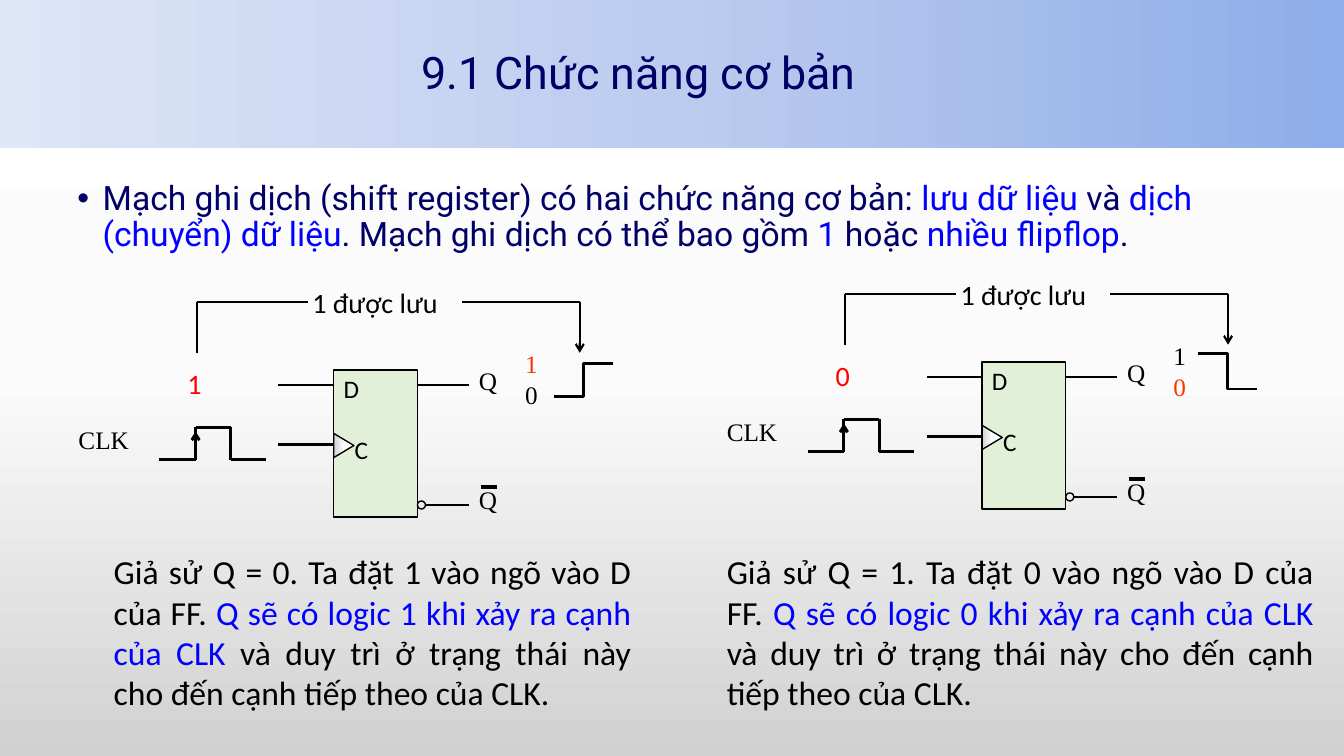
"""Build the slide on the basic functions of a shift register."""
from copy import deepcopy
from dataclasses import dataclass

from lxml.etree import SubElement
from pptx import Presentation
from pptx.dml.color import RGBColor
from pptx.enum.shapes import MSO_CONNECTOR as Connector, MSO_SHAPE as Shape
from pptx.enum.text import MSO_ANCHOR as Anchor, PP_ALIGN as Align
from pptx.oxml.ns import qn
from pptx.util import Inches, Pt


@dataclass(frozen=True)
class Theme:
    navy: str = "000066"
    blue: str = "0000FF"
    black: str = "000000"
    red: str = "FF0000"
    orange: str = "FF3300"
    green: str = "E2F0D9"
    band: tuple = ("DEE6F7", "BCCCEF", "8FADE9")
    grey: tuple = ("FFFFFF", "FBFBFB", "D1D1D1")
    heading: str = "Roboto"
    text: str = "Calibri"
    signal: str = "Times New Roman"
    title_size: int = 32
    body_size: int = 24
    label_size: int = 20
    signal_size: int = 18


theme = Theme()


def write_text(shape, paragraphs, face, size, anchor=Anchor.TOP, **paragraph_format):
    """Fill a shape with paragraphs, each a list of (text, colour) runs."""
    frame = shape.text_frame
    frame.word_wrap = True
    frame.vertical_anchor = anchor
    for index, runs in enumerate(paragraphs):
        paragraph = frame.add_paragraph() if index else frame.paragraphs[0]
        for name, value in {"alignment": Align.LEFT, **paragraph_format}.items():
            setattr(paragraph, name, value)
        for text, colour in runs:
            run = paragraph.add_run()
            run.text = text
            for name, value in {"name": face, "size": Pt(size)}.items():
                setattr(run.font, name, value)
            run.font.color.rgb = RGBColor.from_string(colour)


def add_line(ends, width, arrow=False, kind=Connector.STRAIGHT):
    """Draw a black connector between two points given in inches."""
    connector = slide.shapes.add_connector(kind, *map(Inches, ends))
    connector.line.width = Pt(width)
    connector.line.color.rgb = RGBColor.from_string(theme.black)
    if arrow:
        SubElement(connector.element.xpath(".//a:ln")[0], qn("a:tailEnd"), type="arrow")
    SubElement(connector.element.spPr, qn("a:effectLst"))


presentation = Presentation()
presentation.slide_width = Inches(13.33)
presentation.slide_height = Inches(7.5)
slide = presentation.slides.add_slide(presentation.slide_layouts[5])
shapes = slide.shapes
gradients = [(slide.background.fill, slide.element, theme.grey, 270)]

title = shapes.title
for name, value in {"left": 4.08, "top": 0.02, "width": 8.92, "height": 1.45}.items():
    setattr(title, name, Inches(value))
write_text(title, [[("9.1 Chức năng cơ bản", theme.navy)]], theme.heading,
           theme.title_size, Anchor.MIDDLE, line_spacing=0.9)

band = shapes.add_shape(Shape.RECTANGLE, 0, 0, presentation.slide_width, Inches(1.47))
band.shadow.inherit = False
band.line.fill.background()
title.element.addprevious(band.element)
gradients.append((band.fill, band.element, theme.band, 0))

body = shapes.add_textbox(*map(Inches, (0.67, 1.75, 12, 2.25)))
bullet_properties = body.text_frame.paragraphs[0]._p.get_or_add_pPr()
bullet_properties.set("marL", str(Inches(0.25)))
bullet_properties.set("indent", str(Inches(-0.25)))
SubElement(bullet_properties, qn("a:buClr")).append(
    bullet_properties.makeelement(qn("a:srgbClr"), {"val": theme.navy}))
SubElement(bullet_properties, qn("a:buFont"), typeface="Arial")
SubElement(bullet_properties, qn("a:buChar"), char="•")
write_text(body, [[
    ("Mạch ghi dịch (shift register) có hai chức năng cơ bản: ", theme.navy),
    ("lưu dữ liệu ", theme.blue), ("và ", theme.navy),
    ("dịch (chuyển) dữ liệu", theme.blue),
    (". Mạch ghi dịch có thể bao gồm ", theme.navy), ("1 ", theme.blue),
    ("hoặc ", theme.navy), ("nhiều flipflop", theme.blue), (".", theme.navy),
]], theme.heading, theme.body_size, line_spacing=0.9)

circuits = [
    {"x": 0, "y": 0, "input": "1", "before": "0",
     "levels": (theme.orange, theme.black),
     "step": (5.49, 3.93, 6.08, 3.61), "note": (1.03, 5.42, 5.33, 1.72)},
    {"x": 6.43, "y": -0.08, "input": "0", "before": "1",
     "levels": (theme.black, theme.orange),
     "step": (11.88, 3.51, 12.47, 3.86), "note": (7.11, 5.42, 6.02, 1.72)},
]
wires = [
    ((3.31, 4.41, 2.76, 4.41), 2), ((3.31, 3.82, 2.76, 3.82), 2),
    ((4.65, 5.01, 4.22, 5.01), 2), ((4.65, 3.82, 4.14, 3.82), 2),
    ((4.77, 4.83, 4.93, 4.83), 2.5),
    ((1.58, 4.56, 1.94, 4.56), 2), ((1.94, 4.56, 1.94, 4.24), 2),
    ((1.94, 4.24, 2.29, 4.24), 2), ((2.29, 4.24, 2.29, 4.56), 2),
    ((2.29, 4.56, 2.64, 4.56), 2), ((1.94, 4.52, 1.94, 4.28), 2, True),
    ((1.95, 3.5, 1.95, 3), 1.5), ((1.95, 3, 3.05, 3), 1.5),
    ((4.58, 3, 5.75, 3), 1.5), ((5.75, 3, 5.75, 3.5), 1.5, True),
]
parts = [
    (Shape.RECTANGLE, (3.31, 3.67, 0.83, 1.46)),
    (Shape.ISOSCELES_TRIANGLE, (3.29, 4.32, 0.24, 0.2)),
    (Shape.OVAL, (4.14, 4.97, 0.08, 0.08)),
]

for circuit in circuits:
    x, y = circuit["x"], circuit["y"]
    for kind, (left, top, width, height) in parts:
        part = shapes.add_shape(kind, *map(Inches, (left + x, top + y, width, height)))
        part.shadow.inherit = False
        part.line.width = Pt(1)
        part.line.color.rgb = RGBColor.from_string(theme.black)
        if kind == Shape.RECTANGLE:
            part.fill.solid()
            part.fill.fore_color.rgb = RGBColor.from_string(theme.green)
            part.text_frame.margin_top = Inches(0.03)
            write_text(part, [[("D", theme.black)], [("C", theme.black)]],
                       theme.text, theme.signal_size)
            clock_pin = part.text_frame.paragraphs[1]
            clock_pin.space_before = Pt(22)
            clock_pin._p.get_or_add_pPr().set("marL", str(Inches(0.11)))
        elif kind == Shape.ISOSCELES_TRIANGLE:
            part.rotation = 90
            gradients.append((part.fill, part.element, theme.grey, 270))
        else:
            part.fill.background()

    for (x1, y1, x2, y2), *style in wires:
        add_line((x1 + x, y1 + y, x2 + x, y2 + y), *style)
    add_line(circuit["step"], 2, kind=Connector.ELBOW)

    high, low = circuit["levels"]
    labels = [
        ((4.65, 3.58, 0.39, 0.4), [("Q", theme.black)], theme.signal, theme.signal_size),
        ((4.65, 4.76, 0.35, 0.4), [("Q", theme.black)], theme.signal, theme.signal_size),
        ((0.68, 4.16, 0.75, 0.4), [("CLK", theme.black)], theme.signal, theme.signal_size),
        ((5.11, 3.41, 0.24, 0.71), [("1", high), ("0", low)], theme.signal, theme.signal_size),
        ((1.76, 3.59, 0.36, 0.44), [(circuit["input"], theme.red)], theme.text, theme.label_size),
        ((3, 2.78, 1.59, 0.44), [("1 được lưu", theme.black)], theme.text, theme.label_size),
    ]
    for (left, top, width, height), lines, face, size in labels:
        label = shapes.add_textbox(*map(Inches, (left + x, top + y, width, height)))
        write_text(label, [[line] for line in lines], face, size)

    note = shapes.add_textbox(*map(Inches, circuit["note"]))
    write_text(note, [[
        (f"Giả sử Q = {circuit['before']}. Ta đặt {circuit['input']} vào ngõ vào D của FF. ",
         theme.black),
        (f"Q sẽ có logic {circuit['input']} khi xảy ra cạnh của CLK", theme.blue),
        (" và duy trì ở trạng thái này cho đến cạnh tiếp theo của CLK.", theme.black),
    ]], theme.text, theme.body_size, alignment=Align.JUSTIFY)

for fill, element, colours, angle in gradients:
    fill.gradient()
    fill.gradient_angle = angle
    stop_list = element.xpath(".//a:gsLst")[0]
    stop_list.append(deepcopy(stop_list[-1]))
    for index, (stop, colour) in enumerate(zip(fill.gradient_stops, colours)):
        stop.position = index / 2
        stop.color.rgb = RGBColor.from_string(colour)

presentation.save("out.pptx")
